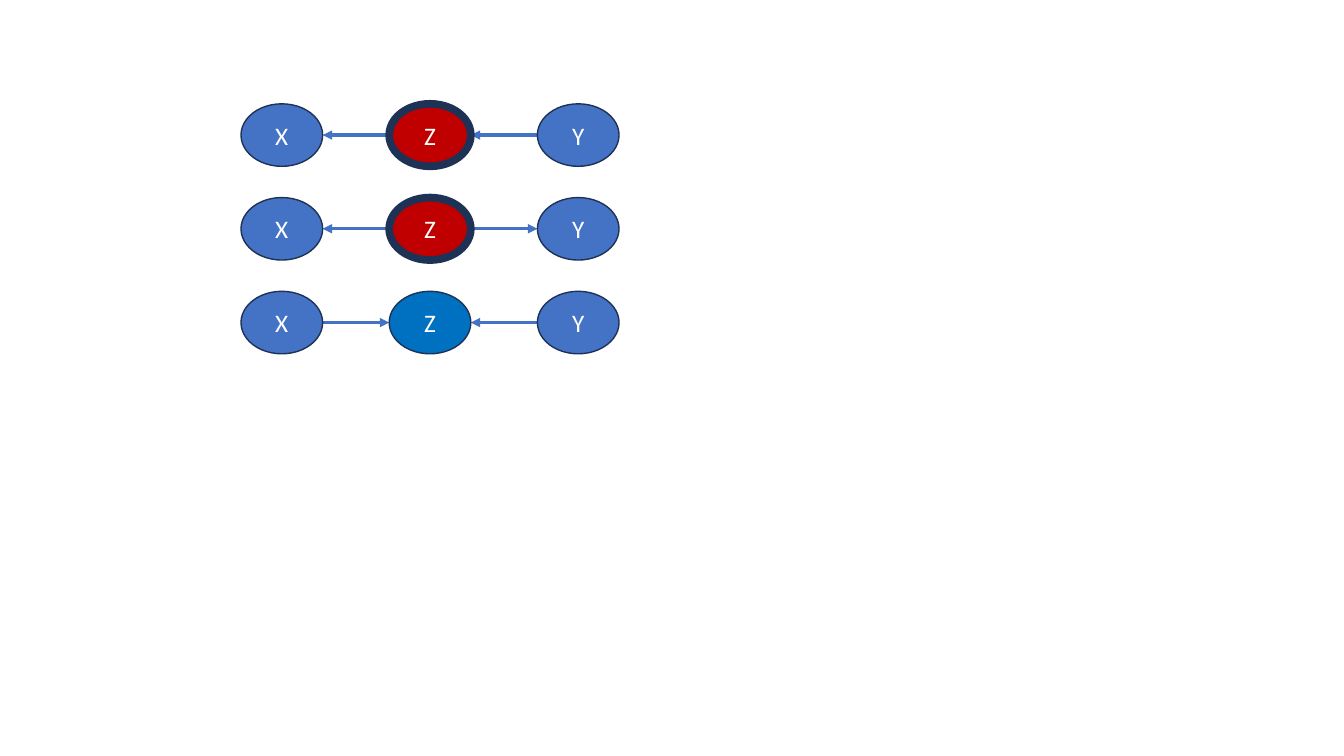
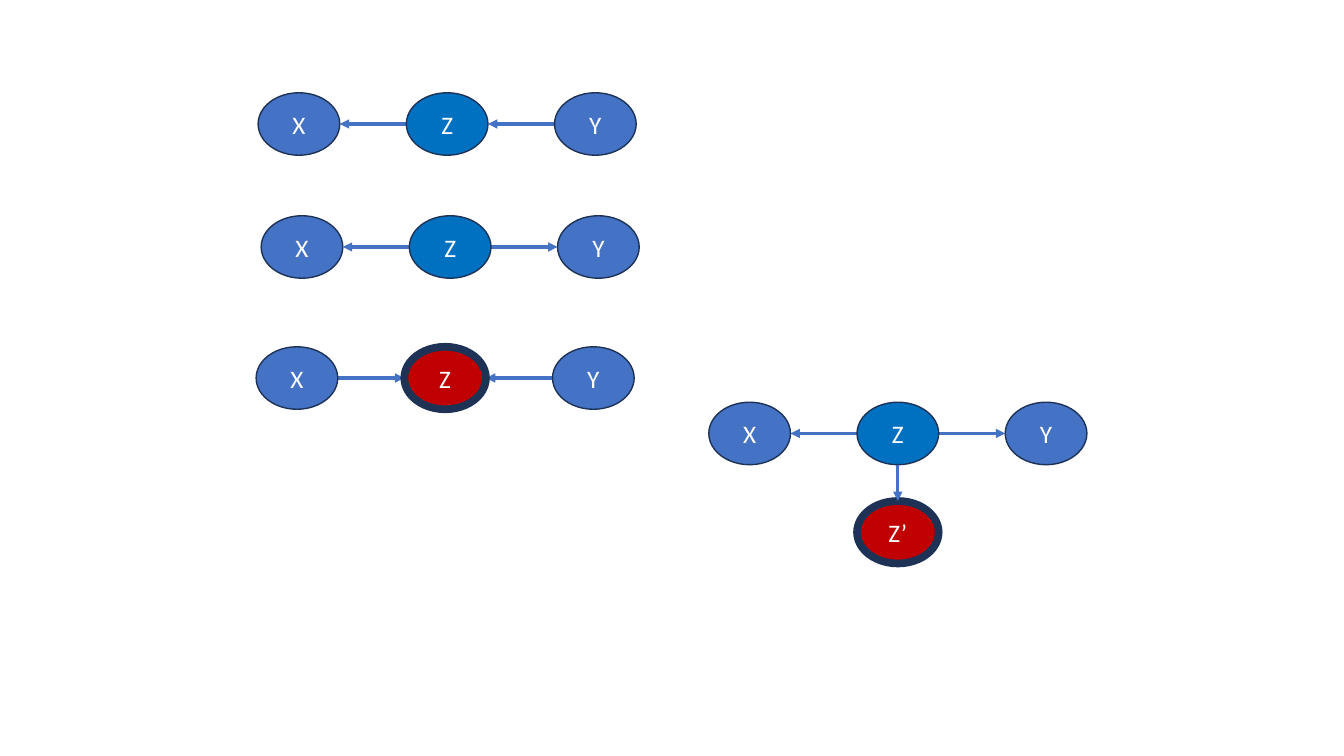
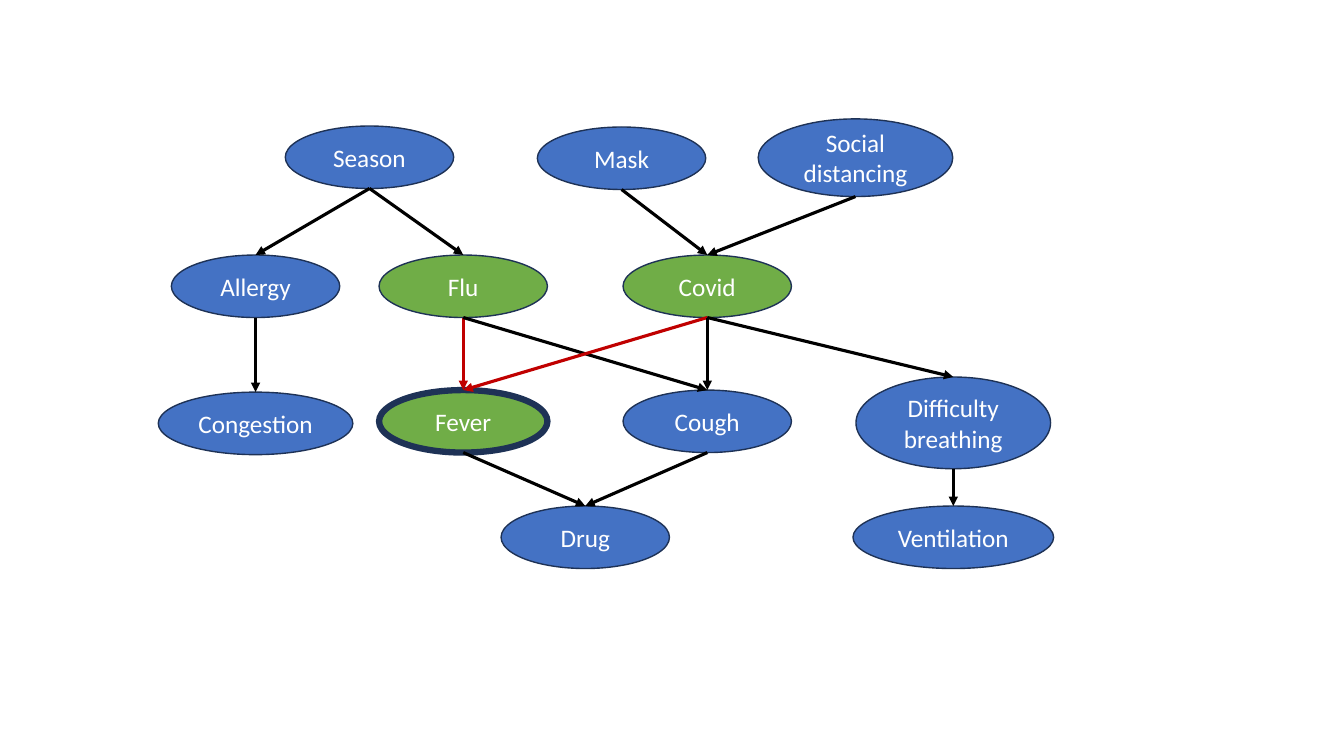
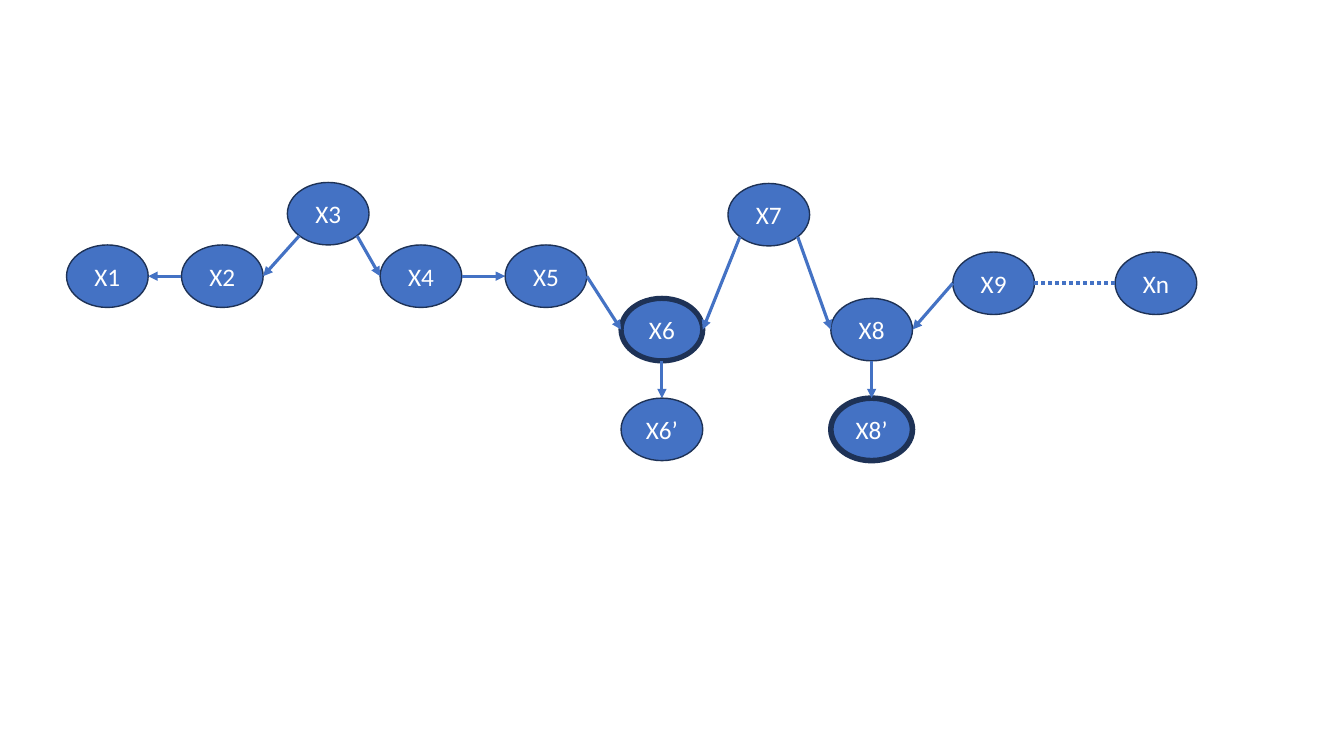
from lxml import etree
from pptx import Presentation
from pptx.dml.color import RGBColor
from pptx.enum.dml import MSO_LINE
from pptx.enum.shapes import MSO_CONNECTOR, MSO_SHAPE
from pptx.enum.text import MSO_ANCHOR, PP_ALIGN
from pptx.oxml.ns import qn
from pptx.util import Inches, Pt

ELLIPSE = MSO_SHAPE.OVAL
STRAIGHT = MSO_CONNECTOR.STRAIGHT
CENTER = PP_ALIGN.CENTER
MIDDLE = MSO_ANCHOR.MIDDLE
DOTTED = MSO_LINE.ROUND_DOT

BLUE, BRIGHT_BLUE, RED, GREEN = "4472C4", "0070C0", "C00000", "70AD47"
NAVY, BLACK, WHITE = "1E3256", "000000", "FFFFFF"
FONT = "Calibri"
NODE_WIDTH, NODE_HEIGHT = 0.81, 0.62
CHAIN_STEP = 1.47
WIDE = 1.67

TOP, LEFT, LOWER_LEFT, BOTTOM, LOWER_RIGHT, RIGHT = 0, 2, 3, 4, 5, 6
SITES = {TOP: (0.5, 0), LEFT: (0, 0.5), LOWER_LEFT: (0.146, 0.854),
         BOTTOM: (0.5, 1), LOWER_RIGHT: (0.854, 0.854), RIGHT: (1, 0.5)}


def add_node(shapes, label, left, top, width=NODE_WIDTH, height=NODE_HEIGHT,
             fill=BLUE, outline=1):
    node = shapes.add_shape(ELLIPSE, Inches(left), Inches(top), Inches(width), Inches(height))
    node.shadow.inherit = False
    node.fill.solid()
    node.fill.fore_color.rgb = RGBColor.from_string(fill)
    node.line.color.rgb = RGBColor.from_string(NAVY)
    node.line.width = Pt(outline)
    node.text_frame.text = label
    node.text_frame.vertical_anchor = MIDDLE
    paragraph = node.text_frame.paragraphs[0]
    paragraph.alignment = CENTER
    font = paragraph.runs[0].font
    font.name, font.size = FONT, Pt(18)
    font.color.rgb = RGBColor.from_string(WHITE)
    return node


def add_link(shapes, start, start_site, end, end_site, color=BLUE, dotted=False):
    points = []
    for node, site in ((start, start_site), (end, end_site)):
        across, down = SITES[site]
        points += [round(node.left + across * node.width), round(node.top + down * node.height)]
    link = shapes.add_connector(STRAIGHT, *points)
    link.line.color.rgb = RGBColor.from_string(color)
    link.line.width = Pt(2.5 if dotted else 2.25)
    if dotted:
        link.line.dash_style = DOTTED
    else:
        etree.SubElement(link.line._get_or_add_ln(), qn("a:tailEnd"), type="triangle")
    etree.SubElement(link._element.spPr, qn("a:effectLst"))
    joints = link._element.nvCxnSpPr.cNvCxnSpPr
    for tag, node, site in (("a:stCxn", start, start_site), ("a:endCxn", end, end_site)):
        etree.SubElement(joints, qn(tag), id=str(node.shape_id), idx=str(site))
    return link


prs = Presentation()
prs.slide_width, prs.slide_height = Inches(13.33), Inches(7.5)
blank = prs.slide_layouts[6]

chain_slides = [
    [(2.39, 1.03, "<<", True, False),
     (2.39, 1.96, "<>", True, False),
     (2.39, 2.89, "><", False, False)],
    [(2.54, 3.44, "><", True, False),
     (2.59, 2.14, "<>", False, False),
     (2.56, 0.92, "<<", False, False),
     (7.03, 3.99, "<>", False, True)],
]
for chains in chain_slides:
    slide = prs.slides.add_slide(blank)
    for left, top, directions, observed, has_child in chains:
        chain = slide.shapes.add_group_shape()
        middle = left + CHAIN_STEP
        x = add_node(chain.shapes, "X", left, top)
        z = add_node(chain.shapes, "Z", middle, top, fill=RED if observed else BRIGHT_BLUE,
                     outline=5.5 if observed else 1)
        y = add_node(chain.shapes, "Y", middle + CHAIN_STEP, top)
        for direction, before, after in zip(directions, (x, z), (z, y)):
            if direction == ">":
                link = add_link(chain.shapes, before, RIGHT, after, LEFT)
            else:
                link = add_link(chain.shapes, after, LEFT, before, RIGHT)
            chain._element.insert(2, link._element)
        if has_child:
            child = add_node(chain.shapes, "Z’", middle, top + 0.98, fill=RED, outline=5.5)
            add_link(chain.shapes, z, BOTTOM, child, TOP)

slide = prs.slides.add_slide(blank)
network = slide.shapes.add_group_shape()
factors = {}
for label, left, top, width, height, fill, outline in [
    ("Season", 2.83, 1.25, WIDE, NODE_HEIGHT, BLUE, 1),
    ("Mask", 5.33, 1.26, WIDE, NODE_HEIGHT, BLUE, 1),
    ("Social distancing", 7.52, 1.18, 1.93, 0.77, BLUE, 1),
    ("Allergy", 1.7, 2.53, WIDE, NODE_HEIGHT, BLUE, 1),
    ("Flu", 3.76, 2.53, WIDE, NODE_HEIGHT, GREEN, 1),
    ("Covid", 6.18, 2.53, WIDE, NODE_HEIGHT, GREEN, 1),
    ("Congestion", 1.57, 3.89, 1.93, NODE_HEIGHT, BLUE, 1),
    ("Fever", 3.76, 3.87, WIDE, NODE_HEIGHT, GREEN, 4.5),
    ("Cough", 6.18, 3.87, WIDE, NODE_HEIGHT, BLUE, 1),
    ("Difficulty breathing", 8.49, 3.74, 1.93, 0.91, BLUE, 1),
    ("Ventilation", 8.46, 5.02, 1.99, NODE_HEIGHT, BLUE, 1),
    ("Drug", 4.97, 5.02, WIDE, NODE_HEIGHT, BLUE, 1),
]:
    factors[label] = add_node(network.shapes, label, left, top, width, height, fill, outline)

for cause, effect, color in [
    ("Season", "Allergy", BLACK),
    ("Season", "Flu", BLACK),
    ("Mask", "Covid", BLACK),
    ("Social distancing", "Covid", BLACK),
    ("Allergy", "Congestion", BLACK),
    ("Flu", "Fever", RED),
    ("Flu", "Cough", BLACK),
    ("Covid", "Fever", RED),
    ("Covid", "Cough", BLACK),
    ("Covid", "Difficulty breathing", BLACK),
    ("Fever", "Drug", BLACK),
    ("Cough", "Drug", BLACK),
    ("Difficulty breathing", "Ventilation", BLACK),
]:
    add_link(network.shapes, factors[cause], BOTTOM, factors[effect], TOP, color)

slide = prs.slides.add_slide(blank)
variables = {}
for label, left, top, outline in [
    ("X1", 0.66, 2.43, 1),
    ("X2", 1.8, 2.43, 1),
    ("X3", 2.85, 1.81, 1),
    ("X4", 3.77, 2.43, 1),
    ("X5", 5.01, 2.43, 1),
    ("X6", 6.16, 2.96, 3.75),
    ("X6’", 6.16, 3.95, 1),
    ("X7", 7.22, 1.82, 1),
    ("X8", 8.24, 2.96, 1),
    ("X8’", 8.24, 3.95, 4),
    ("X9", 9.45, 2.5, 1),
    ("Xn", 11.06, 2.5, 1),
]:
    variables[label] = add_node(slide.shapes, label, left, top, outline=outline)

for cause, cause_site, effect, effect_site in [
    ("X2", LEFT, "X1", RIGHT),
    ("X3", LOWER_LEFT, "X2", RIGHT),
    ("X3", LOWER_RIGHT, "X4", LEFT),
    ("X4", RIGHT, "X5", LEFT),
    ("X5", RIGHT, "X6", LEFT),
    ("X6", BOTTOM, "X6’", TOP),
    ("X7", LOWER_LEFT, "X6", RIGHT),
    ("X7", LOWER_RIGHT, "X8", LEFT),
    ("X8", BOTTOM, "X8’", TOP),
    ("X9", LEFT, "X8", RIGHT),
]:
    add_link(slide.shapes, variables[cause], cause_site, variables[effect], effect_site)
add_link(slide.shapes, variables["X9"], RIGHT, variables["Xn"], LEFT, dotted=True)

prs.save("out.pptx")
